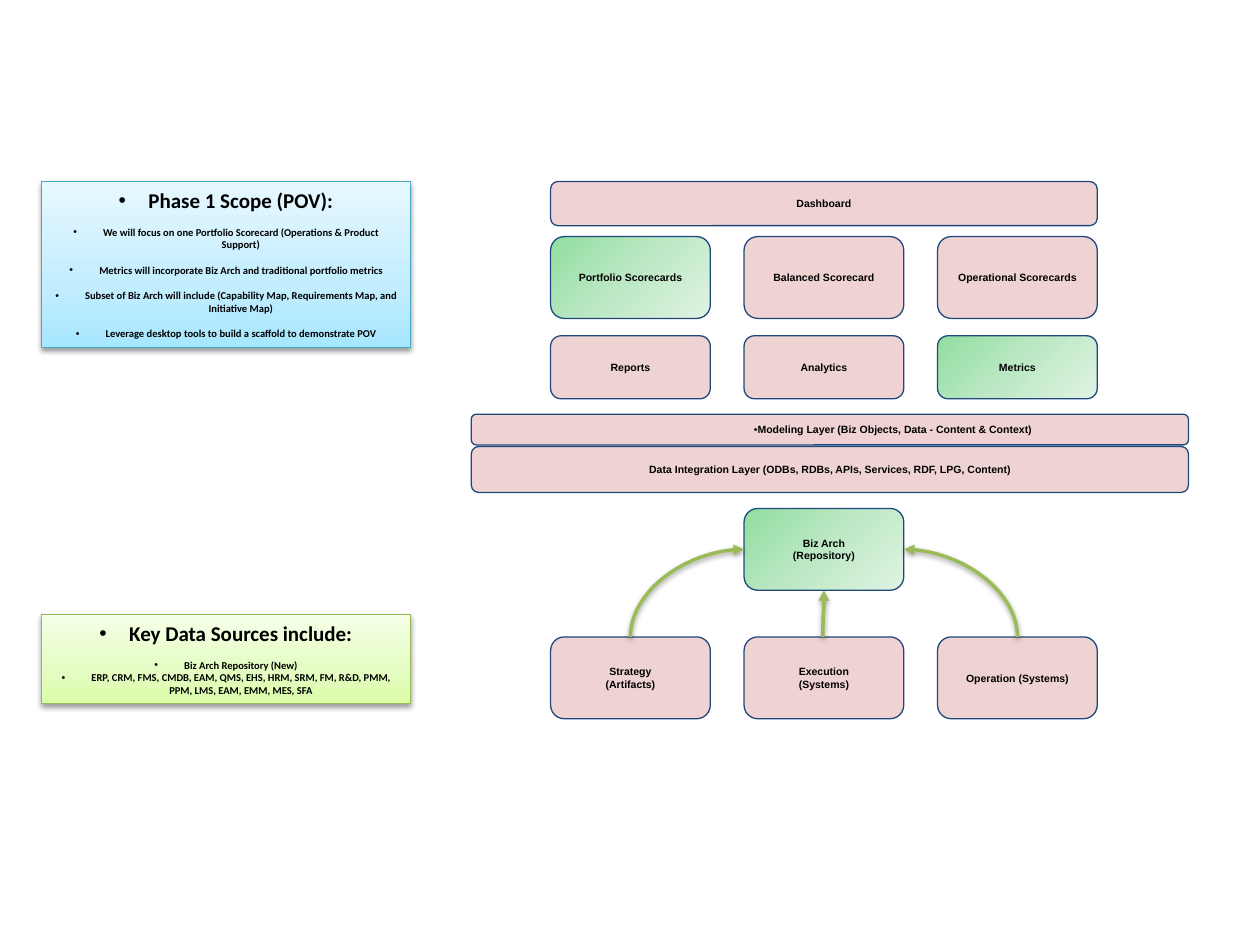
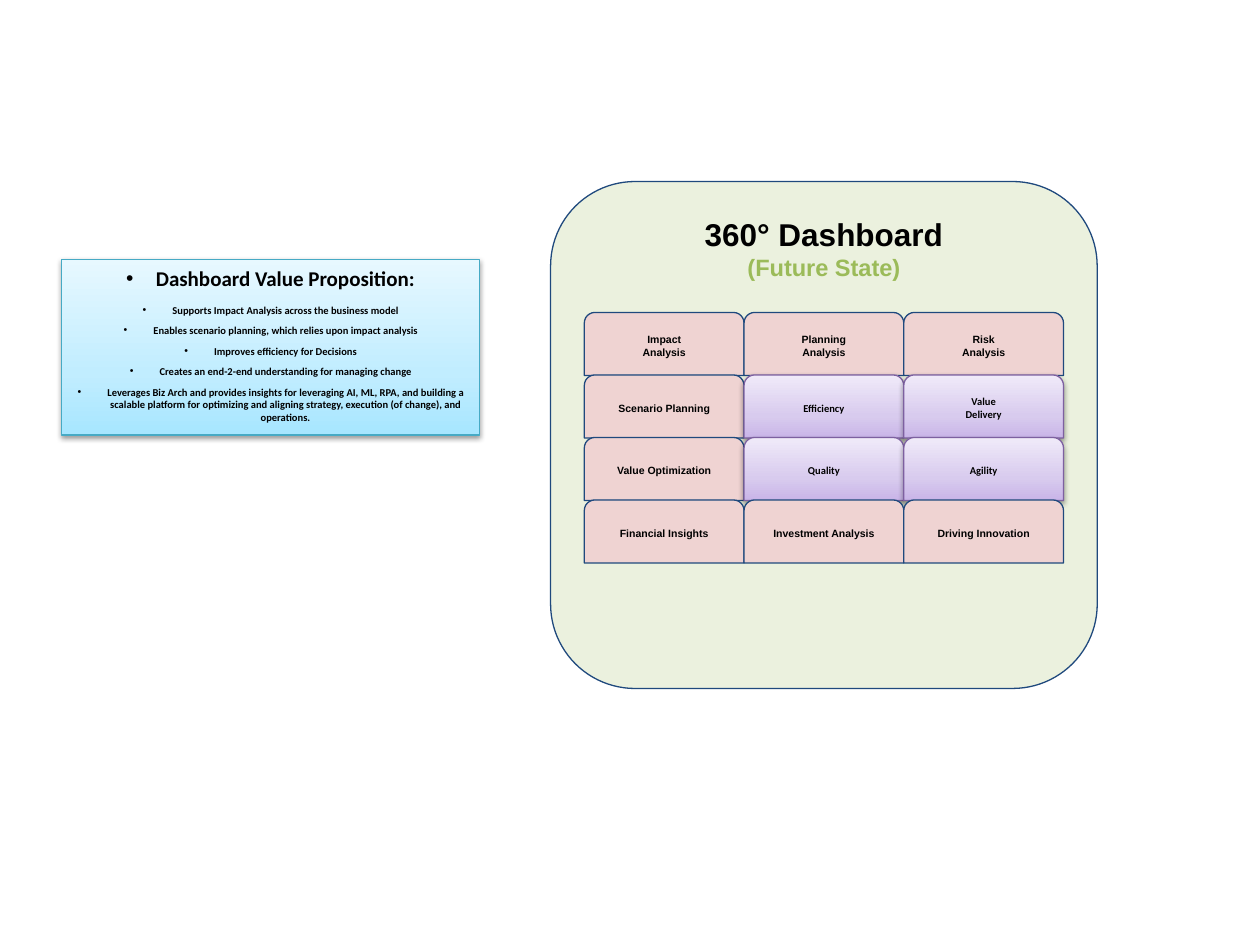
from pptx import Presentation
from pptx.dml.color import RGBColor
from pptx.enum.shapes import MSO_CONNECTOR, MSO_SHAPE
from pptx.enum.text import MSO_ANCHOR, PP_ALIGN
from pptx.oxml import parse_xml
from pptx.oxml.ns import nsdecls, qn
from pptx.util import Cm, Pt

COLORS = {
    "black": "000000",
    "navy": "1F497D",
    "rose": "EFD3D2",
    "sage": "EBF1DE",
    "olive": "9BBB59",
}
GRADIENTS = {
    "green": (315, [(0, "91DEA0"), (50, "BDE8C5"), (100, "DFF3E3")]),
    "blue": (90, [(0, "A7E6FF"), (35, "C1EDFF"), (100, "E7F8FF")]),
    "lime": (90, [(0, "DAFDA7"), (35, "E4FCC2"), (100, "F5FFE7")]),
    "purple": (90, [(0, "C9B5E8"), (35, "D8CBEE"), (100, "F0EAF9")]),
}
SHADED_LINES = {"blue": "46AAC5", "lime": "98B955", "purple": "7D60A0"}
TIGHT = dict.fromkeys(
    ("margin_left", "margin_top", "margin_right", "margin_bottom"), Cm(0.18))
TILE_WIDTH = 3.22
TILE_STEP = 3.9
DIAGRAM_LEFT = 11.1
DIAGRAM_TOP = 3.66
DIAGRAM_WIDTH = 11.02


def apply(target, values):
    for name, value in values.items():
        setattr(target, name, value)


def add_shadow(effects):
    effects.append(parse_xml(
        f'<a:outerShdw {nsdecls("a")} blurRad="40000" dist="20000" dir="5400000" rotWithShape="0">'
        '<a:srgbClr val="000000"><a:alpha val="38000"/></a:srgbClr></a:outerShdw>'))


def paint(shape, fill):
    if fill in GRADIENTS:
        angle, stops = GRADIENTS[fill]
        shape.fill.gradient()
        shape.fill.gradient_angle = angle
        stop_list = shape._element.spPr.find(f'{qn("a:gradFill")}/{qn("a:gsLst")}')
        stop_list.clear()
        for position, color in stops:
            stop_list.append(parse_xml(
                f'<a:gs {nsdecls("a")} pos="{position * 1000}"><a:srgbClr val="{color}"/></a:gs>'))
    else:
        shape.fill.solid()
        shape.fill.fore_color.rgb = RGBColor.from_string(COLORS[fill])
    shape.line.color.rgb = RGBColor.from_string(SHADED_LINES.get(fill, COLORS["navy"]))
    shape.line.width = Pt(0.75)
    shape.shadow.inherit = False
    if fill in SHADED_LINES:
        add_shadow(shape._element.spPr.find(qn("a:effectLst")))


def add_box(page, kind, box, fill, frame_format):
    shape = page.shapes.add_shape(kind, *map(Cm, box))
    paint(shape, fill)
    apply(shape.text_frame, {"word_wrap": True, **frame_format})
    return shape.text_frame


def write(para, text, size=6, font="Arial", color="black"):
    para.alignment = PP_ALIGN.CENTER
    span = para.add_run()
    span.text = text
    apply(span.font, {"size": Pt(size), "name": font, "bold": True})
    span.font.color.rgb = RGBColor.from_string(COLORS[color])


def add_bullet(para, left, indent):
    properties = para._p.get_or_add_pPr()
    properties.set("marL", str(Cm(left)))
    properties.set("indent", str(Cm(indent)))
    properties.append(parse_xml(f'<a:buFont {nsdecls("a")} typeface="Arial"/>'))
    properties.append(parse_xml(f'<a:buChar {nsdecls("a")} char="•"/>'))


def next_para(frame, index):
    return frame.add_paragraph() if index else frame.paragraphs[0]


def add_tile(page, box, text, fill="rose", kind=MSO_SHAPE.FLOWCHART_ALTERNATE_PROCESS):
    frame = add_box(page, kind, box, fill, {**TIGHT, "vertical_anchor": MSO_ANCHOR.MIDDLE})
    font = "Calibri" if fill == "purple" else "Arial"
    for index, line in enumerate(text.split("\n")):
        write(next_para(frame, index), line, font=font)
    return frame


def add_note(page, box, fill, title, items, item_gap):
    frame = add_box(page, MSO_SHAPE.RECTANGLE, box, fill, {"vertical_anchor": MSO_ANCHOR.TOP})
    for index, text in enumerate([title, *items]):
        para = next_para(frame, index)
        add_bullet(para, 0.6, -0.6)
        if index:
            para.space_before = Pt(7.3 if index == 1 else item_gap)
        write(para, text, size=6 if index else 12, font="Calibri")


def add_tile_row(page, left, top, height, tiles):
    for column, (text, fill) in enumerate(tiles):
        add_tile(page, (left + column * TILE_STEP, top, TILE_WIDTH, height), text, fill)


def add_curve(page, start, end, preset, rotation, flip_across):
    (x1, y1), (x2, y2) = start, end
    middle_x, middle_y = (x1 + x2) / 2, (y1 + y2) / 2
    half_width, half_height = abs(y2 - y1) / 2, abs(x2 - x1) / 2
    if flip_across:
        half_width = -half_width
    line = page.shapes.add_connector(
        MSO_CONNECTOR.CURVE,
        Cm(middle_x - half_width), Cm(middle_y + half_height),
        Cm(middle_x + half_width), Cm(middle_y - half_height))
    line.line.color.rgb = RGBColor.from_string(COLORS["olive"])
    line.line.width = Pt(2)
    properties = line._element.spPr
    properties.find(qn("a:xfrm")).set("rot", str(rotation * 60000))
    properties.find(qn("a:prstGeom")).set("prst", preset)
    properties.find(qn("a:ln")).append(parse_xml(f'<a:tailEnd {nsdecls("a")} type="triangle"/>'))
    effects = parse_xml(f'<a:effectLst {nsdecls("a")}/>')
    add_shadow(effects)
    properties.append(effects)


def add_layers(page, left, top, width):
    add_tile(page, (left, top + 0.65, width, 0.93),
             "Data Integration Layer (ODBs, RDBs, APIs, Services, RDF, LPG, Content)")
    frame = add_tile(page, (left, top, width, 0.62),
                     "Modeling Layer (Biz Objects, Data - Content & Context)")
    add_bullet(frame.paragraphs[0], 1.78, 0.76)


def add_repository(page, left, top):
    height = 1.65
    source_top = top + 2.59
    center = left + TILE_STEP + TILE_WIDTH / 2
    side_y = top + height / 2
    add_tile(page, (left + TILE_STEP, top, TILE_WIDTH, height), "Biz Arch\n(Repository)", "green")
    add_tile_row(page, left, source_top, height, [
        ("Strategy\n(Artifacts)", "rose"),
        ("Execution\n(Systems)", "rose"),
        ("Operation (Systems)", "rose"),
    ])
    add_curve(page, (center - TILE_STEP, source_top), (center - TILE_WIDTH / 2, side_y),
              "curvedConnector2", 90, True)
    add_curve(page, (center + TILE_STEP, source_top), (center + TILE_WIDTH / 2, side_y),
              "curvedConnector2", 270, False)
    add_curve(page, (center - 0.02, source_top), (center, top + height),
              "curvedConnector3", 90, True)


def build_scope_page(page):
    add_tile(page, (DIAGRAM_LEFT, DIAGRAM_TOP, DIAGRAM_WIDTH, 0.89), "Dashboard")
    add_tile_row(page, DIAGRAM_LEFT, DIAGRAM_TOP + 1.11, 1.65, [
        ("Portfolio Scorecards", "green"),
        ("Balanced Scorecard", "rose"),
        ("Operational Scorecards", "rose"),
    ])
    add_tile_row(page, DIAGRAM_LEFT, DIAGRAM_TOP + 3.11, 1.27, [
        ("Reports", "rose"), ("Analytics", "rose"), ("Metrics", "green"),
    ])
    add_layers(page, 9.5, DIAGRAM_TOP + 4.69, 14.46)
    add_repository(page, DIAGRAM_LEFT, DIAGRAM_TOP + 6.59)
    add_note(page, (0.84, DIAGRAM_TOP, 7.43, 3.34), "blue", "Phase 1 Scope (POV):", [
        "We will focus on one Portfolio Scorecard (Operations & Product Support)",
        "Metrics will incorporate Biz Arch and traditional portfolio metrics",
        "Subset of Biz Arch will include (Capability Map, Requirements Map, and Initiative Map)",
        "Leverage desktop tools to build a scaffold to demonstrate POV",
    ], 7.3)
    add_note(page, (0.84, 12.39, 7.43, 1.8), "lime", "Key Data Sources include:", [
        "Biz Arch Repository (New)",
        "ERP, CRM, FMS, CMDB, EAM, QMS, EHS, HRM, SRM, FM, R&D, PMM, "
        "PPM, LMS, EAM, EMM, MES, SFA",
    ], 0)


def add_future_dashboard(page, left, top, width, height):
    frame = add_box(page, MSO_SHAPE.FLOWCHART_ALTERNATE_PROCESS, (left, top, width, height),
                    "sage", {**TIGHT, "vertical_anchor": MSO_ANCHOR.TOP})
    write(frame.paragraphs[0], "360° Dashboard", size=18)
    write(frame.add_paragraph(), "(Future State)", size=13.5, color="olive")
    rows = [
        ["Impact\nAnalysis", "Planning\nAnalysis", "Risk\nAnalysis"],
        ["Scenario Planning", "Efficiency", "Value\nDelivery"],
        ["Value Optimization", "Quality", "Agility"],
        ["Financial Insights", "Investment Analysis", "Driving Innovation"],
    ]
    grid_left = left + (width - 3 * TILE_WIDTH) / 2
    for row, labels in enumerate(rows):
        for column, label in enumerate(labels):
            fill = "purple" if row in (1, 2) and column else "rose"
            box = (grid_left + column * TILE_WIDTH, top + 2.64 + row * 1.26, TILE_WIDTH, 1.27)
            add_tile(page, box, label, fill, MSO_SHAPE.ROUND_2_SAME_RECTANGLE)


def build_value_page(page):
    add_future_dashboard(page, DIAGRAM_LEFT, DIAGRAM_TOP, DIAGRAM_WIDTH, 10.22)
    add_note(page, (1.24, 5.23, 8.43, 3.54), "blue", "Dashboard Value Proposition:", [
        "Supports Impact Analysis across the business model",
        "Enables scenario planning, which relies upon impact analysis",
        "Improves efficiency for Decisions",
        "Creates an end-2-end understanding for managing change",
        "Leverages Biz Arch and provides insights for leveraging AI, ML, RPA, and building a "
        "scalable platform for optimizing and aligning strategy, execution (of change), and "
        "operations.",
    ], 4.5)


def main():
    deck = Presentation()
    apply(deck, {"slide_width": Cm(25.4), "slide_height": Cm(19.05)})
    for build in (build_scope_page, build_value_page):
        build(deck.slides.add_slide(deck.slide_layouts[6]))
    deck.save("out.pptx")


if __name__ == "__main__":
    main()
